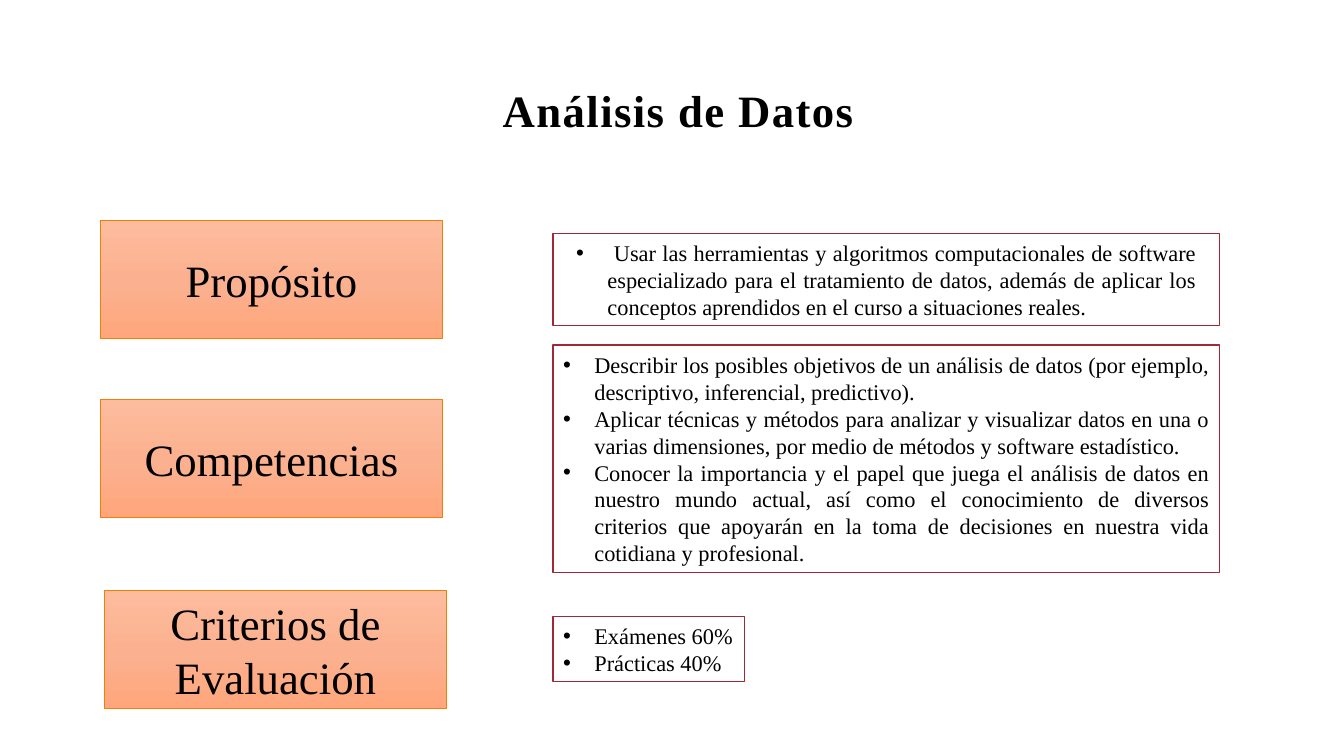
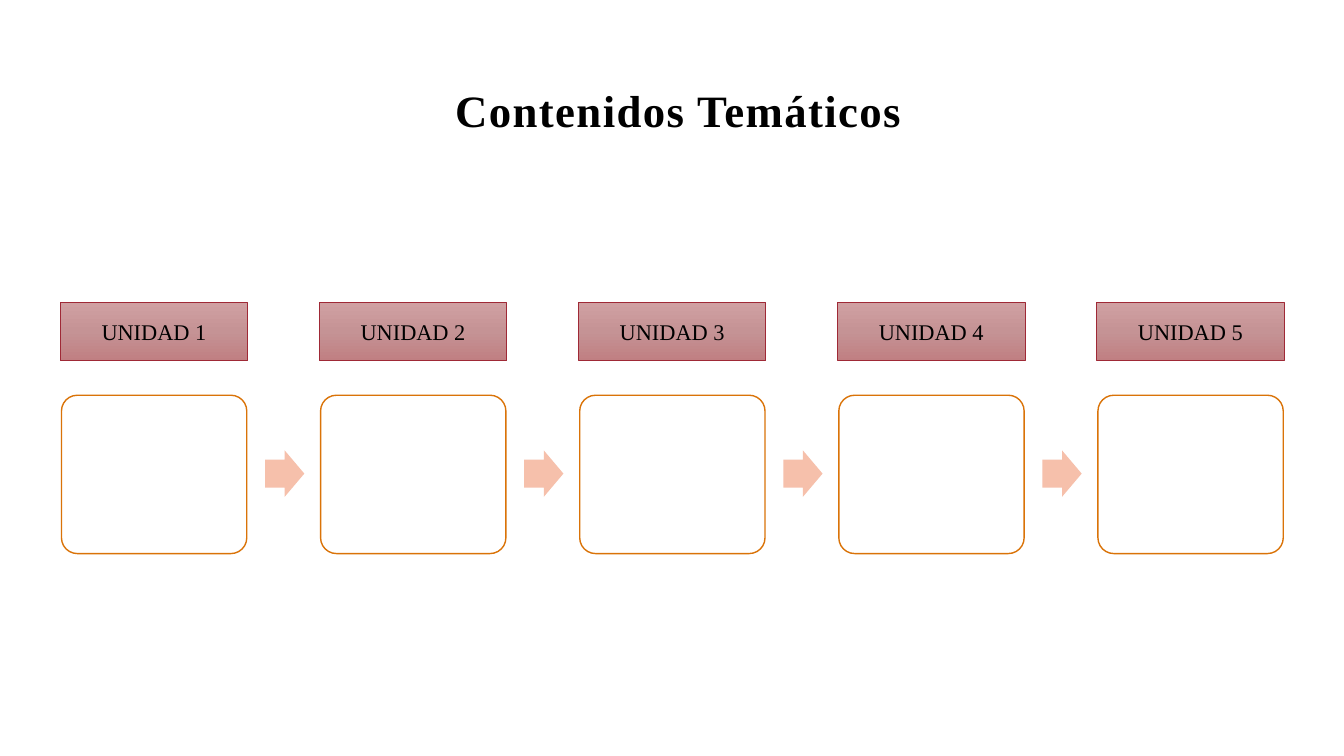
import copy

import lxml.etree
import pptx
import pptx.dml.color
import pptx.enum.shapes
import pptx.enum.text
import pptx.oxml.ns
import pptx.util

Cm = pptx.util.Cm
Pt = pptx.util.Pt
RGB = pptx.dml.color.RGBColor
KIND = pptx.enum.shapes.MSO_SHAPE
ALIGN = pptx.enum.text.PP_ALIGN
qn = pptx.oxml.ns.qn

BLACK = RGB(0x00, 0x00, 0x00)
WHITE = RGB(0xFF, 0xFF, 0xFF)
WINE = RGB(0x9F, 0x29, 0x36)
ORANGE = RGB(0xF0, 0x7F, 0x09)
AMBER = RGB(0xDA, 0x73, 0x08)
PEACH = RGB(0xF6, 0xC0, 0xAB)
WARM = (RGB(0xFD, 0xBC, 0x9E), RGB(0xFB, 0xB1, 0x90), RGB(0xFF, 0xA6, 0x7C))
ROSE = (RGB(0xD0, 0xA0, 0xA2), RGB(0xC5, 0x93, 0x95), RGB(0xC0, 0x7F, 0x82))

FONT = "Times New Roman"
BIG, SMALL = 32, 16
HANG = Cm(0.79)
PAD = 0.25


def write(frame, *lines, size=SMALL, bold=False, align=ALIGN.CENTER,
          bullet=False, space=None, track=0):
    """Fill a text frame, one paragraph a line; track is in points."""
    frame.word_wrap = True
    frame.vertical_anchor = pptx.enum.text.MSO_ANCHOR.MIDDLE
    for i, line in enumerate(lines):
        para = frame.paragraphs[0] if i == 0 else frame.add_paragraph()
        para.alignment = align
        if space:
            para.line_spacing = space
        run = para.add_run()
        run.text = line
        font = run.font
        font.name, font.size, font.bold = FONT, Pt(size), bold
        font.color.rgb = BLACK
        if track:
            run._r.get_or_add_rPr().set("spc", str(track * 100))
        if bullet:
            props = para._p.get_or_add_pPr()
            props.set("marL", str(HANG))
            props.set("indent", str(-HANG))
            for tag, key, value in (("a:buFont", "typeface", "Arial"),
                                    ("a:buChar", "char", "•")):
                lxml.etree.SubElement(props, qn(tag)).set(key, value)


def shade(shape, tones):
    """Fade from top to bottom through three tones."""
    fill = shape.fill
    fill.gradient()
    fill.gradient_angle = 270
    stops = shape._element.find(".//" + qn("a:gsLst"))
    stops.insert(1, copy.deepcopy(stops[0]))
    for stop, tone, place in zip(fill.gradient_stops, tones, (0, 0.5, 1)):
        stop.color.rgb = tone
        stop.position = place


class Deck:
    def __init__(self):
        self.file = pptx.Presentation()
        self.file.slide_width = Cm(33.87)
        self.file.slide_height = Cm(19.05)
        self.slide = None

    def start(self, title):
        """Add a slide with its title."""
        self.slide = self.file.slides.add_slide(self.file.slide_layouts[6])
        box = self.slide.shapes.add_textbox(
            Cm(2.64), Cm(1.02), Cm(28.91), Cm(3.68))
        write(box.text_frame, title, size=BIG, bold=True, space=0.9, track=1)

    def shape(self, kind, x, y, w, h, fill, line=None, weight=1, adjust=()):
        item = self.slide.shapes.add_shape(kind, Cm(x), Cm(y), Cm(w), Cm(h))
        item.shadow.inherit = False
        for i, value in enumerate(adjust):
            item.adjustments[i] = value
        if isinstance(fill, RGB):
            item.fill.solid()
            item.fill.fore_color.rgb = fill
        else:
            shade(item, fill)
        if line is None:
            item.line.fill.background()
        else:
            item.line.color.rgb = line
            item.line.width = Pt(weight)
        return item

    def label(self, text, x, y, w, h, tones, line, size):
        item = self.shape(KIND.RECTANGLE, x, y, w, h, tones, line, 0.5)
        write(item.text_frame, text, size=size)

    def points(self, lines, y, w, h, align=ALIGN.JUSTIFY, left=PAD, right=PAD):
        """Add a framed list in the right column."""
        item = self.shape(KIND.RECTANGLE, 13.94, y, w, h, WHITE, WINE)
        frame = item.text_frame
        frame.margin_left, frame.margin_right = Cm(left), Cm(right)
        write(frame, *lines, align=align, bullet=True)

    def card(self, x):
        self.shape(KIND.ROUNDED_RECTANGLE, x, 9.96, 4.67, 3.99,
                   WHITE, AMBER, adjust=(0.1,))

    def arrow(self, x):
        self.shape(KIND.RIGHT_ARROW, x, 11.35, 0.99, 1.17,
                   PEACH, adjust=(0.6, 0.5))


def course(deck):
    deck.start("Análisis de Datos")
    deck.points([
        " Usar las herramientas y algoritmos computacionales de software "
        "especializado para el tratamiento de datos, además de aplicar los "
        "conceptos aprendidos en el curso a situaciones reales.",
    ], 5.89, 16.79, 2.31, left=0.58, right=0.58)
    deck.points([
        "Describir los posibles objetivos de un análisis de datos (por "
        "ejemplo, descriptivo, inferencial, predictivo).",
        "Aplicar técnicas y métodos para analizar y visualizar datos en una "
        "o varias dimensiones, por medio de métodos y software estadístico.",
        "Conocer la importancia y el papel que juega el análisis de datos en "
        "nuestro mundo actual, así como el conocimiento de diversos criterios "
        "que apoyarán en la toma de decisiones en nuestra vida cotidiana y "
        "profesional.",
    ], 8.69, 16.79, 5.74)
    deck.points(["Exámenes 60%", "Prácticas 40%"], 15.54, 4.83, 1.63,
                align=ALIGN.LEFT, right=0)
    for text, x, y in (("Propósito", 2.54, 5.56),
                       ("Competencias", 2.54, 10.06),
                       ("Criterios de Evaluación", 2.64, 14.88)):
        deck.label(text, x, y, 8.61, 2.97, WARM, ORANGE, BIG)


def units(deck):
    deck.start("Contenidos Temáticos")
    count, step = 5, 6.53
    for i in range(count):
        deck.card(1.55 + i * step)
        if i < count - 1:
            deck.arrow(6.68 + i * step)
        deck.label(f"UNIDAD {i + 1}", 1.52 + i * step, 7.62, 4.72, 1.47,
                   ROSE, WINE, SMALL)


def main():
    deck = Deck()
    course(deck)
    units(deck)
    deck.file.save("out.pptx")


if __name__ == "__main__":
    main()
